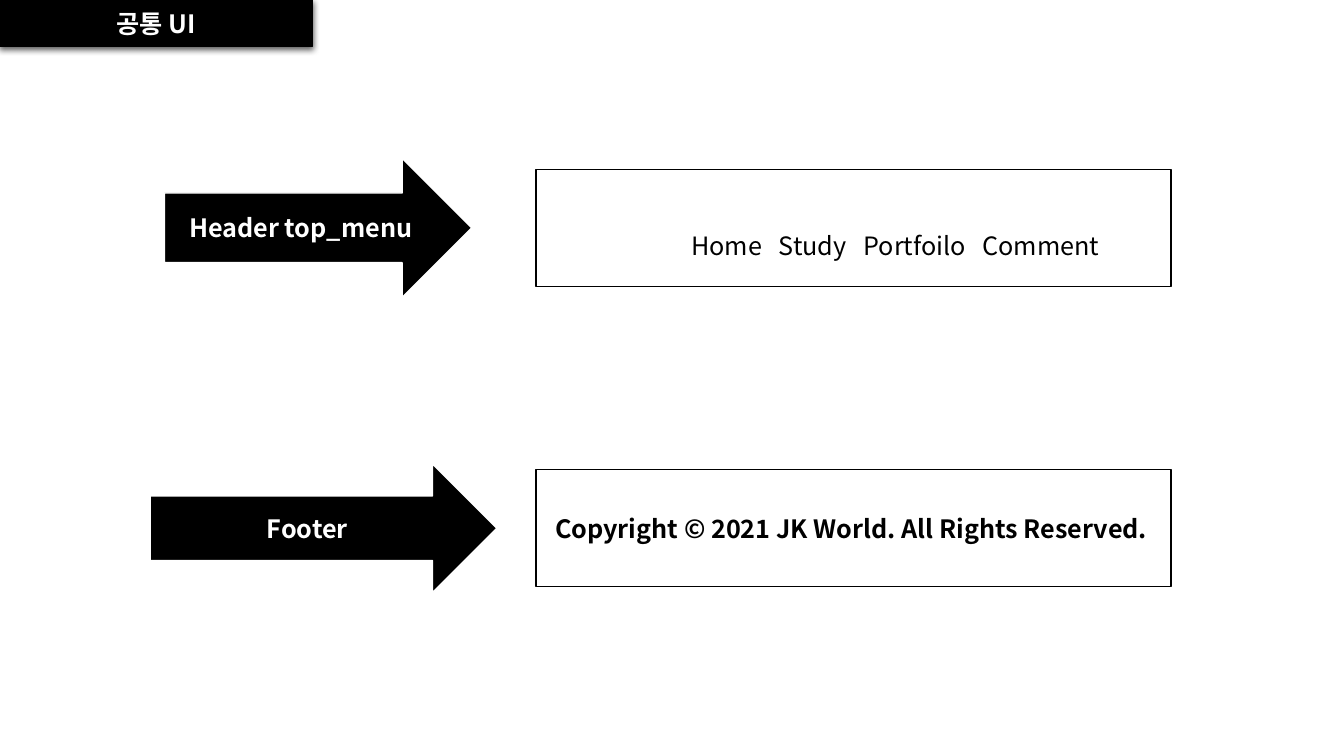
from dataclasses import dataclass

from lxml import etree
from pptx import Presentation
from pptx.dml.color import RGBColor
from pptx.enum import shapes, text
from pptx.oxml import ns
from pptx.util import Pt


@dataclass(frozen=True)
class Theme:
    font: str = "Noto Sans CJK KR"
    size: float = 18
    dark: RGBColor = RGBColor(0, 0, 0)
    light: RGBColor = RGBColor(255, 255, 255)


THEME = Theme()
FRAME_LEFT, FRAME_WIDTH, FRAME_HEIGHT = 383, 453.6, 83.5
MENU = ["Home", "Study", "Portfoilo", "Comment"]
MENU_STOPS = [62.5, 123, 208]


def add_element(parent, tag, **attributes):
    return etree.SubElement(parent, ns.qn(tag), attributes)


def paint(box, fill, line, weight):
    box.fill.solid()
    box.fill.fore_color.rgb = fill
    box.line.color.rgb = line
    box.line.width = Pt(weight)


def write(box, words, color, bold=True, align=text.PP_ALIGN.CENTER, stops=()):
    """Fill a box with one paragraph, with optional tab stops."""
    frame = box.text_frame
    frame.word_wrap = True
    para = frame.paragraphs[0]
    para.text = words
    para.alignment = align
    properties = para._p.get_or_add_pPr()
    if stops:
        tabs = add_element(properties, "a:tabLst")
        for stop in stops:
            add_element(tabs, "a:tab", pos=str(Pt(stop)), algn="l")
    para.font.size = Pt(THEME.size)
    para.font.bold = bold
    para.font.color.rgb = color
    para.font.name = THEME.font
    # Hangul takes the East Asian typeface
    add_element(properties.find(ns.qn("a:defRPr")), "a:ea", typeface=THEME.font)


def add_title_bar(page, words):
    bar = page.shapes.title
    bar.left, bar.top, bar.width, bar.height = Pt(0), Pt(0), Pt(223.2), Pt(33)
    paint(bar, THEME.dark, THEME.dark, 0.75)
    bar.text_frame.auto_size = text.MSO_AUTO_SIZE.NONE
    bar.text_frame.vertical_anchor = text.MSO_ANCHOR.MIDDLE
    write(bar, words, THEME.light)
    # Soft shadow straight below the bar
    effects = add_element(bar._element.spPr, "a:effectLst")
    shadow = add_element(effects, "a:outerShdw", blurRad=str(Pt(4.5)),
                         dist=str(Pt(1.5)), dir="5400000", rotWithShape="0")
    shade = add_element(shadow, "a:srgbClr", val=str(THEME.dark))
    add_element(shade, "a:alpha", val="63000")


def add_panel(page, kind, left, top, width, height, fill, line):
    panel = page.shapes.add_shape(kind, Pt(left), Pt(top), Pt(width), Pt(height))
    panel.shadow.inherit = False
    paint(panel, fill, line, 1)
    return panel


def add_arrow(page, words, left, top, width, height):
    arrow = add_panel(page, shapes.MSO_SHAPE.RIGHT_ARROW, left, top, width, height,
                      THEME.dark, THEME.light)
    arrow.text_frame.vertical_anchor = text.MSO_ANCHOR.MIDDLE
    write(arrow, words, THEME.light)


def add_frame(page, top):
    add_panel(page, shapes.MSO_SHAPE.RECTANGLE, FRAME_LEFT, top, FRAME_WIDTH,
              FRAME_HEIGHT, THEME.light, THEME.dark)


def add_label(page, words, left, top, width, bold, stops=()):
    label = page.shapes.add_textbox(Pt(left), Pt(top), Pt(width), Pt(29))
    label.text_frame.auto_size = text.MSO_AUTO_SIZE.SHAPE_TO_FIT_TEXT
    write(label, words, THEME.dark, bold, text.PP_ALIGN.LEFT, stops)


def main():
    deck = Presentation()
    deck.slide_width, deck.slide_height = Pt(960), Pt(540)
    page = deck.slides.add_slide(deck.slide_layouts.get_by_name("Title Only"))
    add_title_bar(page, "공통 UI")

    # Arrows naming each shared part
    add_arrow(page, "Header top_menu", 117.5, 113, 219.5, 99.5)
    add_arrow(page, "Footer", 107.3, 331.2, 247.7, 92.2)

    # Header: menu in a frame
    add_frame(page, 121)
    add_label(page, "\t".join(MENU), 486.7, 160.6, 323.3, False, MENU_STOPS)

    # Footer: copyright line in a frame
    add_frame(page, 335.5)
    add_label(page, "Copyright © 2021 JK World. All Rights Reserved.",
              389.5, 362.9, 447.8, True)

    deck.save("out.pptx")


if __name__ == "__main__":
    main()
